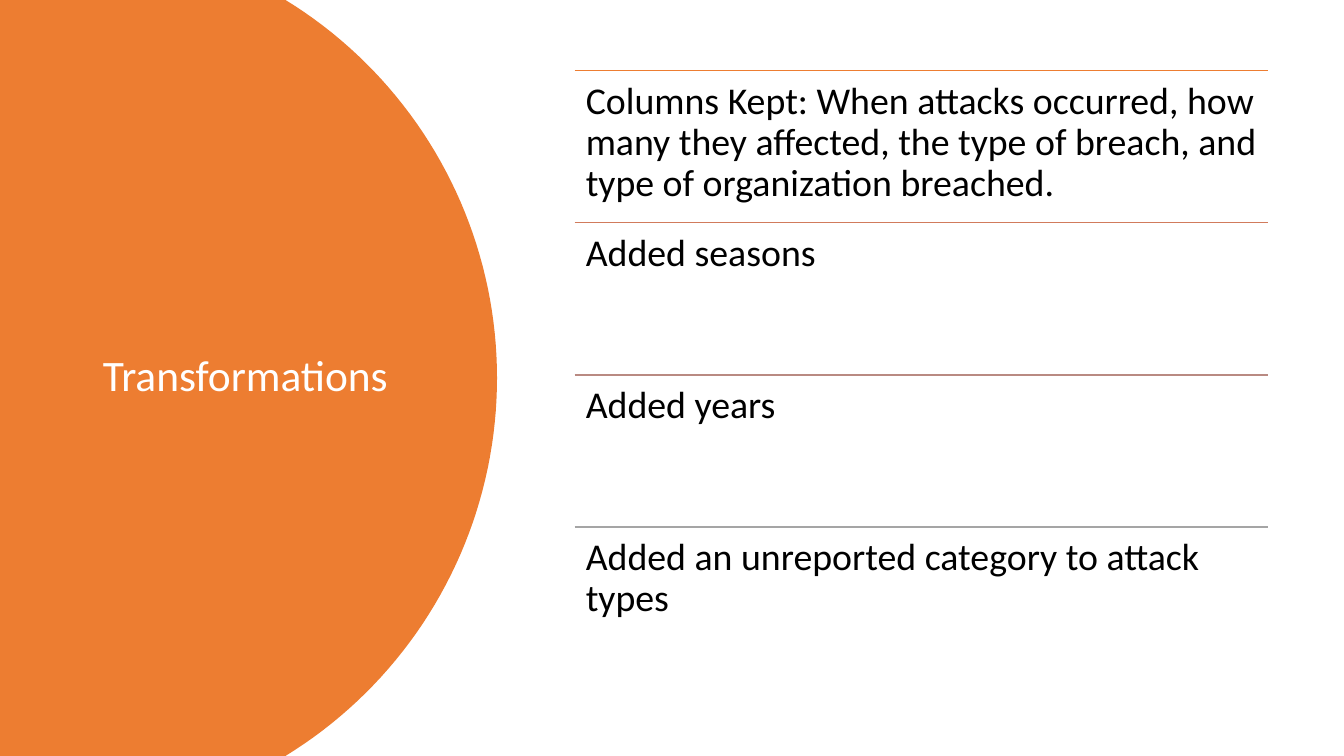
from dataclasses import dataclass
from math import asin, cos, sin

from lxml import etree
from pptx import Presentation
from pptx.dml.color import RGBColor
from pptx.enum.shapes import MSO_CONNECTOR
from pptx.enum.text import MSO_ANCHOR, MSO_AUTO_SIZE, PP_ALIGN
from pptx.oxml.ns import qn
from pptx.shapes.group import GroupShape
from pptx.slide import Slide
from pptx.text.text import TextFrame
from pptx.util import Pt

STRAIGHT = MSO_CONNECTOR.STRAIGHT
TOP, MIDDLE = MSO_ANCHOR.TOP, MSO_ANCHOR.MIDDLE
LEFT = PP_ALIGN.LEFT
NO_FIT = MSO_AUTO_SIZE.NONE
TITLE_ONLY = 5
SCALE = 9144  # EMU in one px, 100 px to the inch
WIDE, HIGH = 1333, 750


@dataclass(frozen=True)
class Theme:
    font: str = "Calibri"
    accent: str = "ED7D31"
    paper: str = "FFFFFF"
    ink: str = "000000"
    title: int = 31
    body: int = 27
    rule: int = 1
    lead: float = 0.9


@dataclass(frozen=True)
class Step:
    text: str
    color: str


THEME = Theme()
STEPS = [
    Step("Columns Kept: When attacks occurred, how many they affected, "
         "the type of breach, and type of organization breached.", "ED7D31"),
    Step("Added seasons", "D17B5C"),
    Step("Added years", "B98A82"),
    Step("Added an unreported category to attack types", "A5A5A5"),
]
LIST_X, LIST_Y, LIST_W, STEP_H, INSET = 570, 70, 688, 151, 11
DISC_X, DISC_R, DISC_CUTS = 53, 440, 80


def px(size: float) -> int:
    return round(size * SCALE)


def rgb(code: str) -> RGBColor:
    return RGBColor.from_string(code)


def style(target: object, values: dict[str, object]) -> None:
    for name, value in values.items():
        setattr(target, name, value)


def write(frame: TextFrame, text: str, size: int, color: str,
          anchor: MSO_ANCHOR, inset: tuple[int, int]) -> None:
    """Fill a frame with one styled paragraph; inset is side, then top."""
    side, top = map(px, inset)
    style(frame, {
        "text": text, "word_wrap": True, "auto_size": NO_FIT,
        "vertical_anchor": anchor, "margin_left": side,
        "margin_right": side, "margin_top": top, "margin_bottom": top,
    })
    para = frame.paragraphs[0]
    style(para, {"alignment": LEFT, "line_spacing": THEME.lead})
    font = para.runs[0].font
    style(font, {"name": THEME.font, "size": Pt(size), "bold": False})
    font.color.rgb = rgb(color)


def draw_disc(slide: Slide) -> None:
    """Draw the disc that runs off the left, top and bottom edges."""
    half = HIGH / 2
    sweep = asin(half / DISC_R)
    turns = [sweep * (2 * i / DISC_CUTS - 1) for i in range(DISC_CUTS + 1)]
    arc = [(px(DISC_X + DISC_R * cos(t)), px(half + DISC_R * sin(t)))
           for t in turns]
    pen = slide.shapes.build_freeform(0, 0)
    pen.add_line_segments(arc + [(0, px(HIGH))], close=True)
    disc = pen.convert_to_shape()
    disc.shadow.inherit = False
    disc.fill.solid()
    disc.fill.fore_color.rgb = rgb(THEME.accent)
    disc.line.fill.background()


def draw_title(slide: Slide) -> None:
    title = slide.shapes.title
    style(title, {"left": px(92), "top": px(70),
                  "width": px(323), "height": px(609)})
    write(title.text_frame, "Transformations", THEME.title, THEME.paper,
          MIDDLE, (10, 5))
    slide.shapes.element.append(title.element)  # bring in front of the disc


def draw_step(group: GroupShape, step: Step, top: int) -> None:
    rule = group.shapes.add_connector(
        STRAIGHT, px(LIST_X), px(top), px(LIST_X + LIST_W), px(top))
    rule.line.color.rgb = rgb(step.color)
    rule.line.width = Pt(THEME.rule)
    etree.SubElement(rule.element.spPr, qn("a:effectLst"))
    box = group.shapes.add_textbox(
        px(LIST_X), px(top), px(LIST_W), px(STEP_H))
    write(box.text_frame, step.text, THEME.body, THEME.ink,
          TOP, (INSET, INSET))


def main() -> None:
    deck = Presentation()
    style(deck, {"slide_width": px(WIDE), "slide_height": px(HIGH)})
    slide = deck.slides.add_slide(deck.slide_layouts[TITLE_ONLY])
    draw_disc(slide)
    draw_title(slide)
    group = slide.shapes.add_group_shape()
    for row, step in enumerate(STEPS):
        draw_step(group, step, LIST_Y + row * STEP_H)
    deck.save("out.pptx")


if __name__ == "__main__":
    main()
